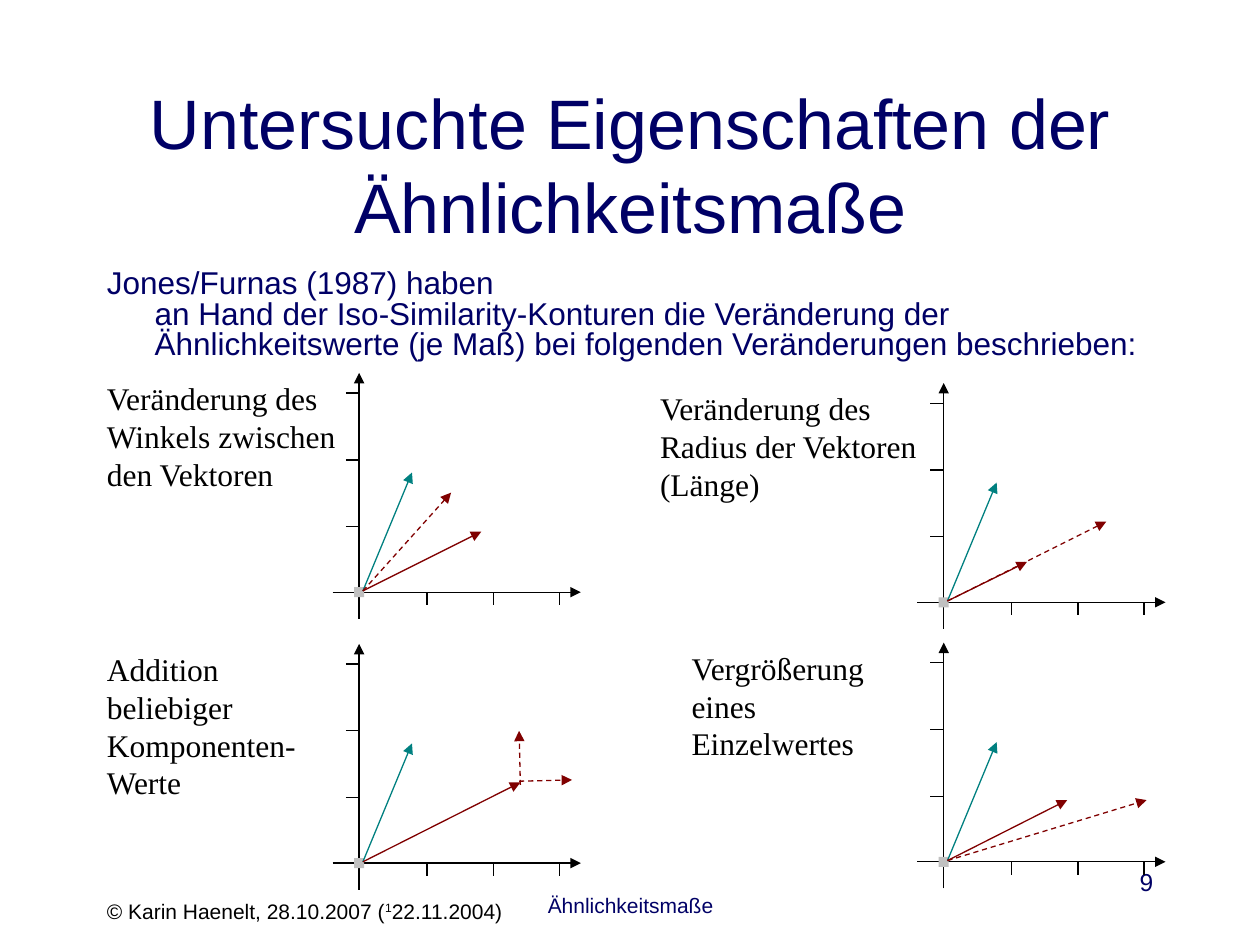
from lxml import etree
from pptx import Presentation
from pptx import util as u
from pptx.dml.color import RGBColor
from pptx.enum import dml, shapes, text
from pptx.oxml.ns import qn

COLS, ROWS = 100, 75
HUES = {"ink": "000000", "navy": "000066", "red": "800000",
        "teal": "008080", "grey": "C0C0C0"}
LEFT, MID, RIGHT = text.PP_ALIGN.LEFT, text.PP_ALIGN.CENTER, text.PP_ALIGN.RIGHT


class Deck:
    """Lengths are columns and rows of a 100 x 75 grid."""

    def __init__(self):
        self.show = Presentation()
        self.show.slide_width, self.show.slide_height = u.Inches(10), u.Inches(7.5)
        self.wide = self.show.slide_width / COLS
        self.high = self.show.slide_height / ROWS
        self.slide = self.show.slides.add_slide(self.show.slide_layouts[6])
        self.items = self.slide.shapes

    def place(self, x, y):
        return round(x * self.wide), round(y * self.high)

    def group(self):
        """Collect the elements that follow in a new group."""
        self.items = self.slide.shapes.add_group_shape().shapes

    def text(self, box, lines, size, hue="navy", face="Arial", align=LEFT,
             anchor=text.MSO_ANCHOR.TOP, wrap=True, **form):
        """Each line is a string or a list of (words, baseline) runs."""
        item = self.items.add_textbox(*self.place(*box[:2]), *self.place(*box[2:]))
        frame = item.text_frame
        frame.word_wrap, frame.vertical_anchor = wrap, anchor
        for i, line in enumerate(lines):
            para = frame.paragraphs[0] if i == 0 else frame.add_paragraph()
            para.alignment = align
            for key, value in form.items():
                setattr(para, key, value)
            if isinstance(line, str):
                para.text = line
            else:
                for words, base in line:
                    run = para.add_run()
                    run.text = words
                    if base:
                        run._r.get_or_add_rPr().set("baseline", str(base))
            for run in para.runs:
                for key, value in {"size": u.Pt(size), "name": face}.items():
                    setattr(run.font, key, value)
                run.font.color.rgb = RGBColor.from_string(HUES[hue])
        return item

    def line(self, start, end, hue="ink", head=False, dash=False):
        item = self.items.add_connector(shapes.MSO_CONNECTOR.STRAIGHT,
                                        *self.place(*start), *self.place(*end))
        item.line.width = u.Pt(0.75)
        item.line.color.rgb = RGBColor.from_string(HUES[hue])
        if dash:
            item.line.dash_style = dml.MSO_LINE.DASH
        if head:
            etree.SubElement(item.line._get_or_add_ln(), qn("a:tailEnd"), type="triangle")
        etree.SubElement(item._element.spPr, qn("a:effectLst"))

    def square(self, x, y, side):
        item = self.items.add_shape(shapes.MSO_SHAPE.RECTANGLE,
                                    *self.place(x - side / 2, y - side / 2),
                                    *self.place(side, side))
        item.shadow.inherit = False
        item.fill.solid()
        item.fill.fore_color.rgb = RGBColor.from_string(HUES["grey"])
        item.line.fill.background()

    def plot(self, x, y, label, box, rays):
        """Axes crossing at x, y; rays are (start, end, dash) from there."""
        self.group()
        self.line((x - 2.1, y), (x + 17.6, y), head=True)
        self.line((x, y + 2.1), (x, y - 17.4), head=True)
        for n in range(3):
            across, up = x + 5.4 + 5.25 * n, y - 5.2 - 5.3 * n
            self.line((across, y), (across, y + 1.05))
            self.line((x - 1.05, up), (x, up))
        self.square(x, y, 0.8)
        self.line((x + 0.3, y - 0.1), (x + 4.2, y - 9.5), "teal", True)
        for (sx, sy), (ex, ey), dash in rays:
            self.line((x + sx, y + sy), (x + ex, y + ey), "red", True, dash)
        left, width, height = box
        self.text((left, y - 17.4, width, height), label, 18, "ink",
                  "Times New Roman", wrap=False)


BASE = (0.3, -0.1)
PLOTS = [
    (28.5, 47, ["Veränderung des", "Winkels zwischen", "den Vektoren"], (7.5, 20.2, 10),
     [(BASE, (9.7, -4.8), False), (BASE, (7.3, -7.9), True)]),
    (74.9, 47.8, ["Veränderung des", "Radius der Vektoren", "(Länge)"], (51.4, 22.7, 10),
     [(BASE, (12.9, -6.4), True), (BASE, (6.6, -3.2), False)]),
    (28.5, 68.5, ["Addition", "beliebiger", "Komponenten-", "Werte"], (7.5, 17, 13),
     [(BASE, (12.8, -6.4), False), ((12.8, -6.2), (12.7, -10.5), True),
      ((12.7, -6.5), (16.9, -6.6), True)]),
    (74.9, 68.4, ["Vergrößerung", "eines", "Einzelwertes"], (53.9, 16, 10),
     [(BASE, (9.8, -4.9), False), (BASE, (16.1, -4.9), True)]),
]


def main():
    deck = Deck()
    deck.text((7.5, 70.8, 33.5, 3),
              [[("© Karin Haenelt, 28.10.2007 (", 0), ("1", 30000), ("22.11.2004)", 0)]],
              12, "ink", wrap=False)
    deck.text((34.2, 68.3, 31.7, 5), ["Ähnlichkeitsmaße"], 12, align=MID,
              anchor=text.MSO_ANCHOR.BOTTOM)
    deck.text((71.7, 68.3, 20.8, 5), ["9"], 14, align=RIGHT)
    deck.text((7.5, 6.7, 85, 12.5), ["Untersuchte Eigenschaften der Ähnlichkeitsmaße"],
              40, align=MID, anchor=text.MSO_ANCHOR.MIDDLE)
    body = deck.text((7.5, 21, 85, 9.4), [
        "Jones/Furnas (1987) haben\van Hand der Iso-Similarity-Konturen die Veränderung "
        "der Ähnlichkeitswerte (je Maß) bei folgenden Veränderungen beschrieben:"],
        18, line_spacing=0.8)
    hang = body.text_frame.paragraphs[0]._p.get_or_add_pPr()
    for key, inches in {"marL": 0.38, "indent": -0.38}.items():
        hang.set(key, str(u.Inches(inches)))
    for plot in PLOTS:
        deck.plot(*plot)
    deck.show.save("out.pptx")


if __name__ == "__main__":
    main()
